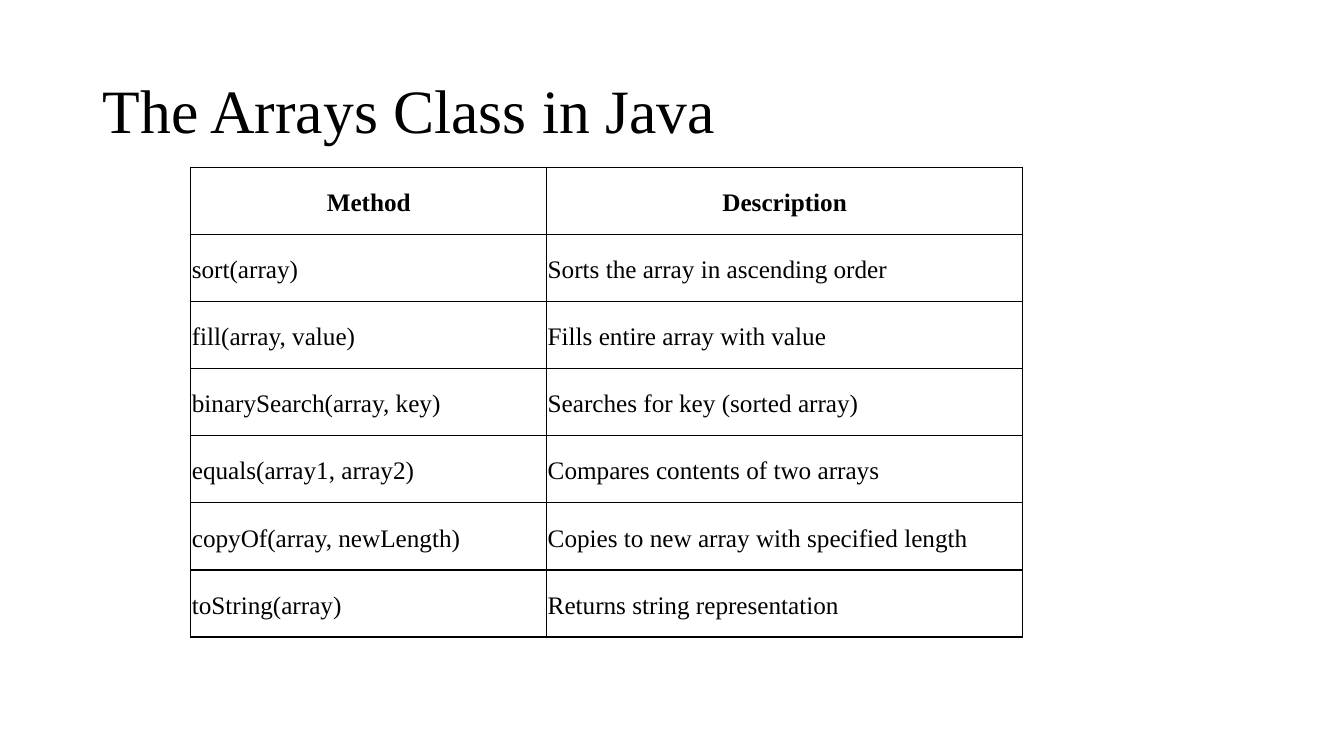
"""Builds a slide that lists the methods of the Java Arrays class in a table."""
from dataclasses import dataclass

from lxml import etree
from pptx import Presentation
from pptx import util as u
from pptx.dml.color import RGBColor
from pptx.enum import text
from pptx.oxml import ns

BLACK = RGBColor(0x00, 0x00, 0x00)
WHITE = RGBColor(0xFF, 0xFF, 0xFF)
FONT = "Times New Roman"
SLIDE_WIDTH = u.Inches(13.33)
SLIDE_HEIGHT = u.Inches(7.5)
COLUMN_SHARES = (26.48, 35.41)
ROW_SHARE = 8.88
CELL_INSET = u.Inches(0.01)
BORDER_WIDTH = u.Pt(1)


@dataclass(frozen=True)
class Area:
    """Place and size in percent of the slide."""
    left: float
    top: float
    width: float
    height: float

    def lengths(self) -> tuple[int, int, int, int]:
        return across(self.left), down(self.top), across(self.width), down(self.height)


@dataclass(frozen=True)
class Entry:
    """One table row."""
    method: str
    description: str


ENTRIES = (
    Entry("Method", "Description"),
    Entry("sort(array)", "Sorts the array in ascending order"),
    Entry("fill(array, value)", "Fills entire array with value"),
    Entry("binarySearch(array, key)", "Searches for key (sorted array)"),
    Entry("equals(array1, array2)", "Compares contents of two arrays"),
    Entry("copyOf(array, newLength)", "Copies to new array with specified length"),
    Entry("toString(array)", "Returns string representation"),
)
TITLE_AREA = Area(6.9, 5.33, 86.27, 19.33)
TABLE_AREA = Area(14.2, 22.13, sum(COLUMN_SHARES), ROW_SHARE * len(ENTRIES))


def across(percent: float) -> int:
    return round(SLIDE_WIDTH * percent / 100)


def down(percent: float) -> int:
    return round(SLIDE_HEIGHT * percent / 100)


def style_text(para, size: int, bold: bool = False) -> None:
    for span in para.runs:
        span.font.name = FONT
        span.font.size = u.Pt(size)
        span.font.bold = bold
        span.font.color.rgb = BLACK


def draw_title(page, area: Area, wording: str) -> None:
    frame = page.shapes.add_textbox(*area.lengths()).text_frame
    frame.word_wrap = True
    frame.vertical_anchor = text.MSO_ANCHOR.MIDDLE
    frame.text = wording
    para = frame.paragraphs[0]
    para.line_spacing = 0.9
    style_text(para, 44)


def draw_borders(cell) -> None:
    properties = cell._tc.get_or_add_tcPr()
    for position, side in enumerate(("lnL", "lnR", "lnT", "lnB")):
        line = etree.Element(ns.qn(f"a:{side}"), w=str(BORDER_WIDTH))
        fill = etree.SubElement(line, ns.qn("a:solidFill"))
        etree.SubElement(fill, ns.qn("a:srgbClr"), val=str(BLACK))
        properties.insert(position, line)


def fill_cell(cell, wording: str, heading: bool) -> None:
    cell.margin_left = cell.margin_right = CELL_INSET
    cell.margin_top = cell.margin_bottom = CELL_INSET
    cell.vertical_anchor = text.MSO_ANCHOR.MIDDLE
    cell.fill.background()
    cell.text = wording
    para = cell.text_frame.paragraphs[0]
    para.alignment = text.PP_ALIGN.CENTER if heading else text.PP_ALIGN.LEFT
    para.line_spacing = 1.15
    para.space_after = u.Pt(10)
    style_text(para, 18, heading)
    draw_borders(cell)


def draw_table(page, area: Area, entries: tuple[Entry, ...]) -> None:
    table = page.shapes.add_table(len(entries), len(COLUMN_SHARES), *area.lengths()).table
    table.first_row = table.horz_banding = False
    for column, share in zip(table.columns, COLUMN_SHARES):
        column.width = across(share)
    for number, entry in enumerate(entries):
        table.rows[number].height = down(ROW_SHARE)
        for index, wording in enumerate((entry.method, entry.description)):
            fill_cell(table.cell(number, index), wording, heading=number == 0)


def main() -> None:
    deck = Presentation()
    deck.slide_width, deck.slide_height = SLIDE_WIDTH, SLIDE_HEIGHT
    page = deck.slides.add_slide(deck.slide_layouts[6])
    page.background.fill.solid()
    page.background.fill.fore_color.rgb = WHITE
    draw_title(page, TITLE_AREA, "The Arrays Class in Java")
    draw_table(page, TABLE_AREA, ENTRIES)
    deck.save("out.pptx")


if __name__ == "__main__":
    main()
